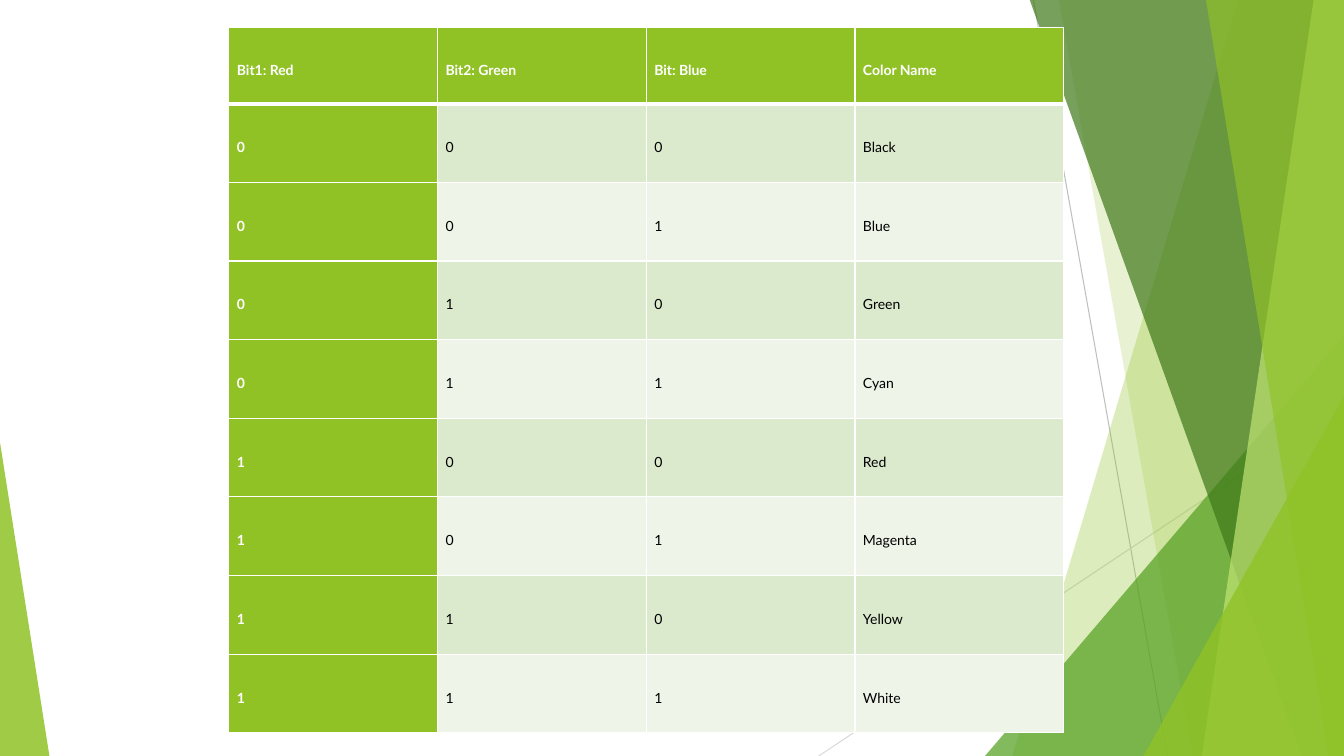
import itertools

import pptx
import pptx.dml.color
import pptx.enum.shapes
import pptx.enum.text
import pptx.oxml.ns
import pptx.oxml.xmlchemy
import pptx.util

PX = 9144  # EMU per px, 100 px to the inch
WIDTH, HEIGHT = 1333, 750
THEME = {
    "lime": "90C226", "green": "54A021", "forest": "3F7819", "pale": "C0E474",
    "band": "DBE9CD", "light_band": "EEF4E8", "white": "FFFFFF", "black": "000000",
    "steep_line": "BFBFBF", "flat_line": "D9D9D9",
    "font": "Lato", "text_size": 10, "line_width": 0.75,
    "cell_border": 1, "header_border": 3,
}


def rgb(name):
    return pptx.dml.color.RGBColor.from_string(THEME[name])


def element(tag, **attributes):
    node = pptx.oxml.xmlchemy.OxmlElement(tag)
    for key, setting in attributes.items():
        node.set(key, str(setting))
    return node


deck = pptx.Presentation()
deck.slide_width, deck.slide_height = WIDTH * PX, HEIGHT * PX
slide = deck.slides.add_slide(deck.slide_layouts[6])
shapes = slide.shapes

# Thin lines behind the facets
for x1, y1, x2, y2, color in [
    (1025, 0, 1158, HEIGHT, "steep_line"),
    (WIDTH, 403, 812, HEIGHT, "flat_line"),
]:
    ray = shapes.add_connector(
        pptx.enum.shapes.MSO_CONNECTOR.STRAIGHT, x1 * PX, y1 * PX, x2 * PX, y2 * PX)
    ray.line.color.rgb = rgb(color)
    ray.line.width = pptx.util.Pt(THEME["line_width"])
    ray._element.spPr.append(element("a:effectLst"))

# Facets: bands (top x, bottom x) reach the right edge,
# triangles (left, top, width, apex) stand on the bottom edge
for kind, place, color, opacity in [
    ("band", (1228, 1004), "lime", 30),
    ("band", (1050, 1183), "lime", 20),
    ("triangle", (977, 333, 356, 1), "green", 72),
    ("band", (1021, 1291), "forest", 70),
    ("band", (1303, 1192), "pale", 70),
    ("band", (1196, 1318), "lime", 65),
    ("triangle", (1134, 393, 199, 1), "lime", 80),
    ("triangle", (0, 439, 49, 0), "lime", 85),
]:
    if kind == "band":
        top_x, bottom_x = place
        outline = shapes.build_freeform(top_x, -1, scale=PX)
        outline.add_line_segments(
            [(WIDTH, -1), (WIDTH, HEIGHT), (bottom_x, HEIGHT)], close=True)
        facet = outline.convert_to_shape()
    else:
        left, top, width, apex = place
        facet = shapes.add_shape(
            pptx.enum.shapes.MSO_SHAPE.ISOSCELES_TRIANGLE,
            left * PX, top * PX, width * PX, (HEIGHT - top) * PX)
        facet.adjustments[0] = apex
    facet.shadow.inherit = False
    facet.line.fill.background()
    facet.fill.solid()
    facet.fill.fore_color.rgb = rgb(color)
    tint = facet._element.spPr.find(".//" + pptx.oxml.ns.qn("a:srgbClr"))
    tint.append(element("a:alpha", val=opacity * 1000))

# Colour table: every combination of three bits and its name
header = ("Bit1: Red", "Bit2: Green", "Bit: Blue", "Color Name")
color_names = ["Black", "Blue", "Green", "Cyan", "Red", "Magenta", "Yellow", "White"]
rows = [header] + [
    (*bits, name) for bits, name in zip(itertools.product("01", repeat=3), color_names)]

color_table = shapes.add_table(
    len(rows), len(header), 227 * PX, 27 * PX, 829 * PX, 699 * PX).table
color_table.first_col = True
for column in color_table.columns:
    column.width = 207 * PX
for row_index, row in enumerate(color_table.rows):
    row.height = (78 if row_index else 76) * PX

cell_format = {
    "margin_left": 8 * PX, "margin_right": 8 * PX,
    "margin_top": 12 * PX, "margin_bottom": 12 * PX,
    "vertical_anchor": pptx.enum.text.MSO_ANCHOR.MIDDLE,
}
for row_index, values in enumerate(rows):
    for column_index, value in enumerate(values):
        cell = color_table.cell(row_index, column_index)
        is_heading = row_index == 0 or column_index == 0
        for attribute, setting in cell_format.items():
            setattr(cell, attribute, setting)

        # Borders, thicker between the header and the first row
        properties = cell._tc.get_or_add_tcPr()
        for side in ("L", "R", "T", "B"):
            under_header = (row_index, side) in [(0, "B"), (1, "T")]
            weight = THEME["header_border" if under_header else "cell_border"]
            border = element(f"a:ln{side}", w=pptx.util.Pt(weight).emu)
            stroke = element("a:solidFill")
            stroke.append(element("a:srgbClr", val=THEME["white"]))
            border.append(stroke)
            properties.append(border)

        # Fill and text
        cell.fill.solid()
        band = "band" if row_index % 2 else "light_band"
        cell.fill.fore_color.rgb = rgb("lime" if is_heading else band)
        paragraph = cell.text_frame.paragraphs[0]
        paragraph.line_spacing = 1.5
        run = paragraph.add_run()
        run.text = value
        run.font.color.rgb = rgb("white" if is_heading else "black")
        for attribute, setting in {
            "name": THEME["font"],
            "size": pptx.util.Pt(THEME["text_size"]),
            "bold": is_heading,
        }.items():
            setattr(run.font, attribute, setting)

deck.save("out.pptx")
